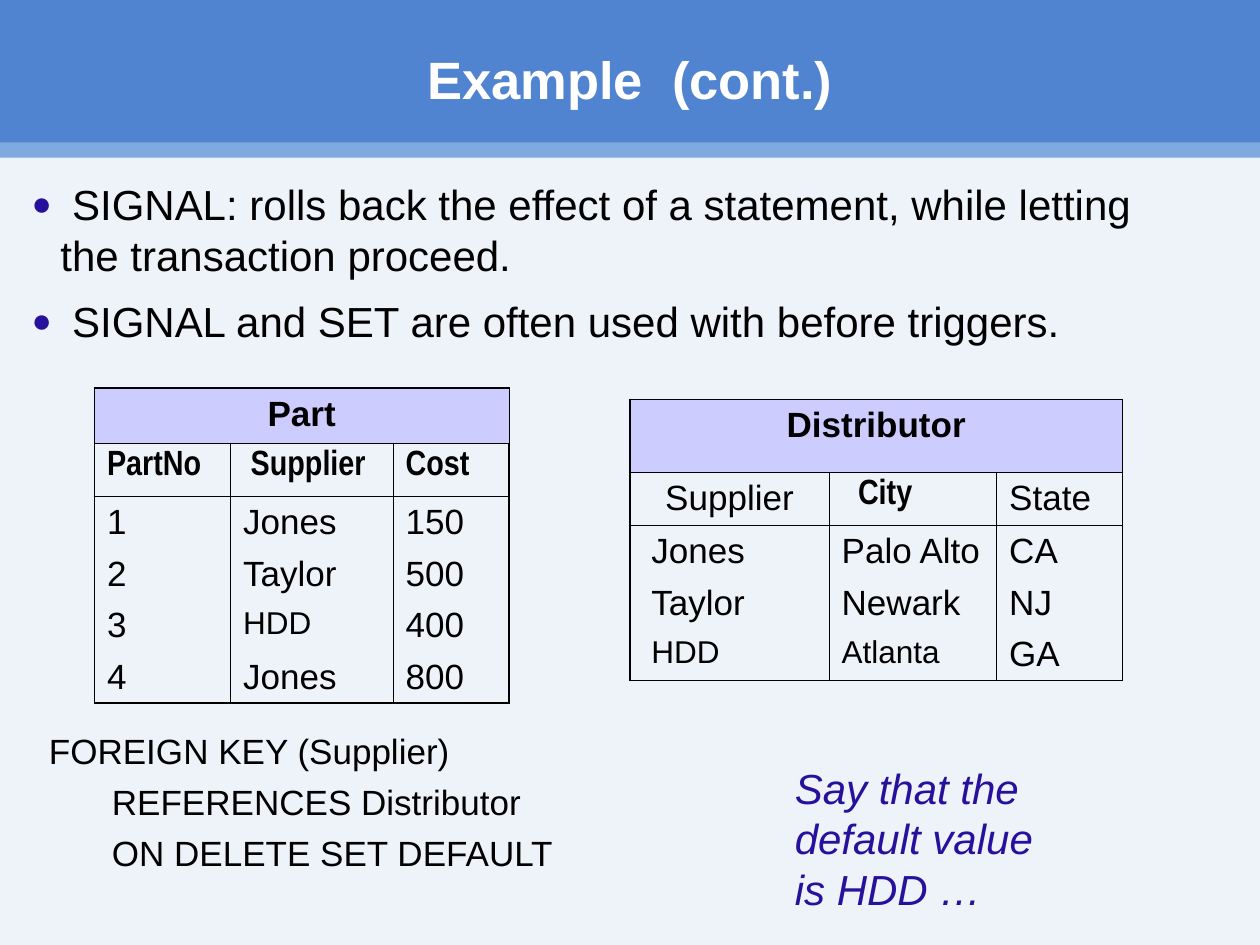
from lxml.etree import SubElement
from pptx import Presentation
from pptx.dml.color import RGBColor
from pptx.enum.shapes import MSO_SHAPE
from pptx.enum.text import MSO_ANCHOR, MSO_AUTO_SIZE, PP_ALIGN
from pptx.oxml.ns import qn
from pptx.util import Inches, Pt

BLACK = RGBColor(0x00, 0x00, 0x00)
WHITE = RGBColor(0xFF, 0xFF, 0xFF)
PAPER = RGBColor(0xEE, 0xF3, 0xFA)
BAND = RGBColor(0x50, 0x84, 0xD0)
STRIPE = RGBColor(0x7F, 0xAA, 0xDF)
LILAC = RGBColor(0xCC, 0xCC, 0xFF)
INDIGO = RGBColor(0x27, 0x10, 0x9C)

OUTER, INNER = 1.08, 0.45
PLAIN_TABLE_STYLE = "{2D5ABB26-0587-4C30-8999-92F81FD0307C}"
PLAIN = {"name": "Arial", "size": Pt(20), "bold": False}
BOLD = {**PLAIN, "bold": True}
NARROW = {**BOLD, "name": "Arial Narrow"}
SMALL = {**PLAIN, "size": Pt(18)}

TITLE = "Example  (cont.)"
BULLETS = [
    " SIGNAL: rolls back the effect of a statement, while letting the transaction proceed.",
    " SIGNAL and SET are often used with before triggers.",
]
FOREIGN_KEY = ["FOREIGN KEY (Supplier)", "\tREFERENCES Distributor", "\tON DELETE SET DEFAULT"]
REMARK = ["Say that the default value is HDD …"]
BANDS = [(BAND, 0, 1.25), (STRIPE, 1.13, 0.12)]

TABLES = [
    {
        "name": "Part",
        "at": (0.75, 3.08),
        "columns": [1.08, 1.29, 0.92],
        "rows": [0.44, 0.42, 0.4, 0.37, 0.37, 0.38],
        "headings": ["PartNo", "Supplier", "Cost"],
        "records": [("1", "Jones", "150"), ("2", "Taylor", "500"),
                    ("3", "HDD", "400"), ("4", "Jones", "800")],
        "formats": {(1, 0): NARROW, (1, 1): NARROW, (1, 2): NARROW, (4, 1): SMALL},
        "indents": {(1, 1): 0.06},
        "centred": [],
    },
    {
        "name": "Distributor",
        "at": (5, 3.17),
        "columns": [1.58, 1.33, 1],
        "rows": [0.58, 0.42, 0.4, 0.37, 0.33],
        "headings": ["Supplier", "City", "State"],
        "records": [("Jones", "Palo Alto", "CA"), ("Taylor", "Newark", "NJ"),
                    ("HDD", "Atlanta", "GA")],
        "formats": {(1, 1): NARROW, (4, 0): SMALL, (4, 1): SMALL},
        "indents": {(1, 1): 0.13, (2, 0): 0.07, (3, 0): 0.07, (4, 0): 0.07},
        "centred": [(1, 0)],
    },
]


def apply(target, values):
    for name, value in values.items():
        setattr(target, name, value)


def place(shape, left, top, width, height):
    apply(shape, {"left": Inches(left), "top": Inches(top),
                  "width": Inches(width), "height": Inches(height)})


def write(frame, lines, font, color, paragraph_format):
    for index, line in enumerate(lines):
        paragraph = frame.add_paragraph() if index else frame.paragraphs[0]
        apply(paragraph, paragraph_format)
        run = paragraph.add_run()
        run.text = line
        apply(run.font, font)
        run.font.color.rgb = color


def set_frame(frame, anchor):
    apply(frame, {"word_wrap": True, "auto_size": MSO_AUTO_SIZE.NONE, "vertical_anchor": anchor,
                  "margin_left": Inches(0.1), "margin_right": Inches(0.1),
                  "margin_top": 0, "margin_bottom": 0})


def add_bands(slide):
    for position, (color, top, height) in enumerate(BANDS):
        band = slide.shapes.add_shape(MSO_SHAPE.RECTANGLE, 0, Inches(top), Inches(10), Inches(height))
        band.shadow.inherit = False
        band.fill.solid()
        band.fill.fore_color.rgb = color
        band.line.fill.background()
        slide.shapes._spTree.insert(2 + position, band._element)


def add_bullets(paragraph):
    properties = paragraph._p.get_or_add_pPr()
    properties.set("marL", str(Inches(0.23)))
    properties.set("indent", str(-Inches(0.23)))
    color = SubElement(properties, qn("a:buClr"))
    SubElement(color, qn("a:srgbClr"), val=str(INDIGO))
    SubElement(properties, qn("a:buSzPct"), val="80000")
    SubElement(properties, qn("a:buFont"), typeface="Arial")
    SubElement(properties, qn("a:buChar"), char="●")


def set_borders(cell, widths):
    properties = cell._tc.get_or_add_tcPr()
    for side, width in zip("LRTB", widths):
        line = SubElement(properties, qn(f"a:ln{side}"), w=str(Pt(width)))
        if width:
            fill = SubElement(line, qn("a:solidFill"))
            SubElement(fill, qn("a:srgbClr"), val=str(BLACK))
        else:
            SubElement(line, qn("a:noFill"))


def border_widths(row, column, last_row, last_column):
    return (
        INNER if column else OUTER,
        OUTER if column == last_column else INNER,
        OUTER if row == 0 else INNER if row <= 2 else 0,
        OUTER if row == last_row else INNER if row <= 1 else 0,
    )


def add_data_table(slide, data):
    content = [[data["name"], "", ""], data["headings"], *data["records"]]
    widths, heights = data["columns"], data["rows"]
    area = [Inches(value) for value in (*data["at"], sum(widths), sum(heights))]
    table = slide.shapes.add_table(len(heights), len(widths), *area).table
    table._tbl.tblPr[0].text = PLAIN_TABLE_STYLE
    apply(table, {"first_row": False, "horz_banding": False})
    for column, width in zip(table.columns, widths):
        column.width = Inches(width)
    for row, height in zip(table.rows, heights):
        row.height = Inches(height)
    table.cell(0, 0).merge(table.cell(0, len(widths) - 1))
    for row, texts in enumerate(content):
        for column, text in enumerate(texts):
            cell, key = table.cell(row, column), (row, column)
            set_borders(cell, border_widths(row, column, len(heights) - 1, len(widths) - 1))
            cell.margin_left = Inches(0.1 + data["indents"].get(key, 0))
            if row:
                cell.fill.background()
            else:
                cell.fill.solid()
                cell.fill.fore_color.rgb = LILAC
            if text:
                font = data["formats"].get(key, PLAIN if row else BOLD)
                centred = row == 0 or key in data["centred"]
                write(cell.text_frame, [text], font, BLACK,
                      {"alignment": PP_ALIGN.CENTER if centred else PP_ALIGN.LEFT,
                       "space_before": Pt(6.8 if font is SMALL else 7.5)})


def add_text(slide, area, lines, font, color, paragraph_format):
    box = slide.shapes.add_textbox(*[Inches(value) for value in area])
    set_frame(box.text_frame, MSO_ANCHOR.TOP)
    write(box.text_frame, lines, font, color, paragraph_format)


def main():
    """Build the slide on SIGNAL and the Part and Distributor tables."""
    presentation = Presentation()
    apply(presentation, {"slide_width": Inches(10), "slide_height": Inches(7.5)})
    slide = presentation.slides.add_slide(presentation.slide_layouts[1])
    slide.background.fill.solid()
    slide.background.fill.fore_color.rgb = PAPER
    add_bands(slide)

    title, body = slide.placeholders
    place(title, 0.29, 0, 9.42, 1.25)
    set_frame(title.text_frame, MSO_ANCHOR.MIDDLE)
    write(title.text_frame, [TITLE], {**BOLD, "size": Pt(30)}, WHITE, {"alignment": PP_ALIGN.CENTER})
    place(body, 0.15, 1.42, 9.3, 1.33)
    set_frame(body.text_frame, MSO_ANCHOR.TOP)
    write(body.text_frame, BULLETS, {**PLAIN, "size": Pt(24)}, BLACK, {"space_before": Pt(9)})
    for paragraph in body.text_frame.paragraphs:
        add_bullets(paragraph)

    for data in TABLES:
        add_data_table(slide, data)
    add_text(slide, (6.21, 6.05, 2.33, 1.2), REMARK,
             {**PLAIN, "size": Pt(24), "italic": True}, INDIGO, {"space_before": Pt(15)})
    add_text(slide, (0.29, 5.83, 4.87, 1.11), FOREIGN_KEY, PLAIN, BLACK,
             {"line_spacing": 0.9, "space_before": Pt(7.5)})
    presentation.save("out.pptx")


if __name__ == "__main__":
    main()
